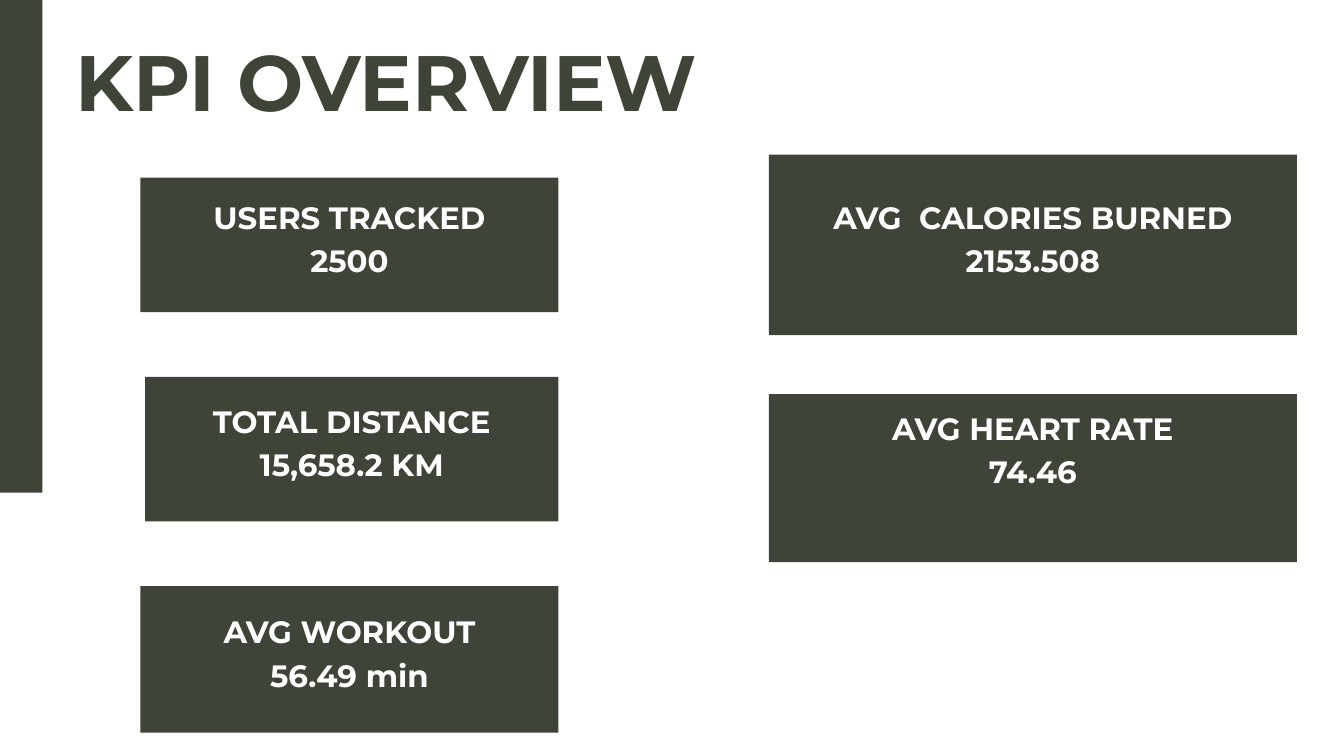
from pptx import Presentation
from pptx.dml.color import RGBColor
from pptx.enum.shapes import MSO_SHAPE
from pptx.enum.text import MSO_ANCHOR, MSO_AUTO_SIZE, PP_ALIGN
from pptx.util import Pt

RECTANGLE = MSO_SHAPE.RECTANGLE
TOP, MIDDLE = MSO_ANCHOR.TOP, MSO_ANCHOR.MIDDLE
LEFT, CENTER = PP_ALIGN.LEFT, PP_ALIGN.CENTER
NO_AUTOFIT = MSO_AUTO_SIZE.NONE

OLIVE = RGBColor(0x3E, 0x44, 0x37)
WHITE = RGBColor(0xFF, 0xFF, 0xFF)
FONT = "Montserrat"

INSET = 4.3
TEXT_RISE = 20  # extra room below the card text

# left, top, width, height, label, value, further room below the text
CARDS = [
    (150.5, 190.3, 447.8, 144.2, "USERS TRACKED", "2500", 0),
    (823.7, 165.6, 565.9, 193.4, "AVG  CALORIES BURNED", "2153.508", 0),
    (823.7, 422.4, 565.9, 180, "AVG HEART RATE", "74.46", 47.6),
    (155.5, 403.9, 442.8, 154.8, "TOTAL DISTANCE", "15,658.2 KM", 0),
    (150.5, 628, 447.8, 157, "AVG WORKOUT", "56.49 min", 0),
]


def add_block(left, top, width, height):
    sp = s.shapes.add_shape(RECTANGLE, Pt(left), Pt(top), Pt(width), Pt(height))
    sp.shadow.inherit = False
    sp.fill.solid()
    sp.fill.fore_color.rgb = OLIVE
    sp.line.fill.background()
    return sp


def write_lines(tf, lines, size, color, align, spacing, frame):
    """Fill a text frame with bold lines, one paragraph each."""
    for name, value in frame.items():
        setattr(tf, name, value)
    tf.text = "\n".join(lines)
    for p in tf.paragraphs:
        p.alignment = align
        p.line_spacing = Pt(spacing)
        p.space_before = p.space_after = Pt(0)
        r = p.runs[0]
        for name, value in {"name": FONT, "size": Pt(size), "bold": True}.items():
            setattr(r.font, name, value)
        r.font.color.rgb = color


prs = Presentation()
prs.slide_width, prs.slide_height = Pt(1440), Pt(810)
s = prs.slides.add_slide(prs.slide_layouts[5])

# Side bar
add_block(0, 0, 45.5, 527.8)

# Title
title = s.shapes.title
title.left, title.top, title.width, title.height = Pt(80.6), Pt(18.7), Pt(1000), Pt(229)
write_lines(title.text_frame, ["KPI OVERVIEW"], 84.1, OLIVE, LEFT, 117.7, {
    "margin_left": 0, "margin_right": 0, "margin_top": 0, "margin_bottom": 0,
    "vertical_anchor": TOP, "word_wrap": True, "auto_size": NO_AUTOFIT,
})

# KPI cards
for left, top, width, height, label, value, room in CARDS:
    card = add_block(left, top, width, height)
    write_lines(card.text_frame, [label, value], 33, WHITE, CENTER, 46.2, {
        "margin_left": Pt(INSET), "margin_right": Pt(INSET), "margin_top": Pt(INSET),
        "margin_bottom": Pt(INSET + TEXT_RISE + room),
        "vertical_anchor": MIDDLE, "word_wrap": True,
    })

prs.save("out.pptx")
